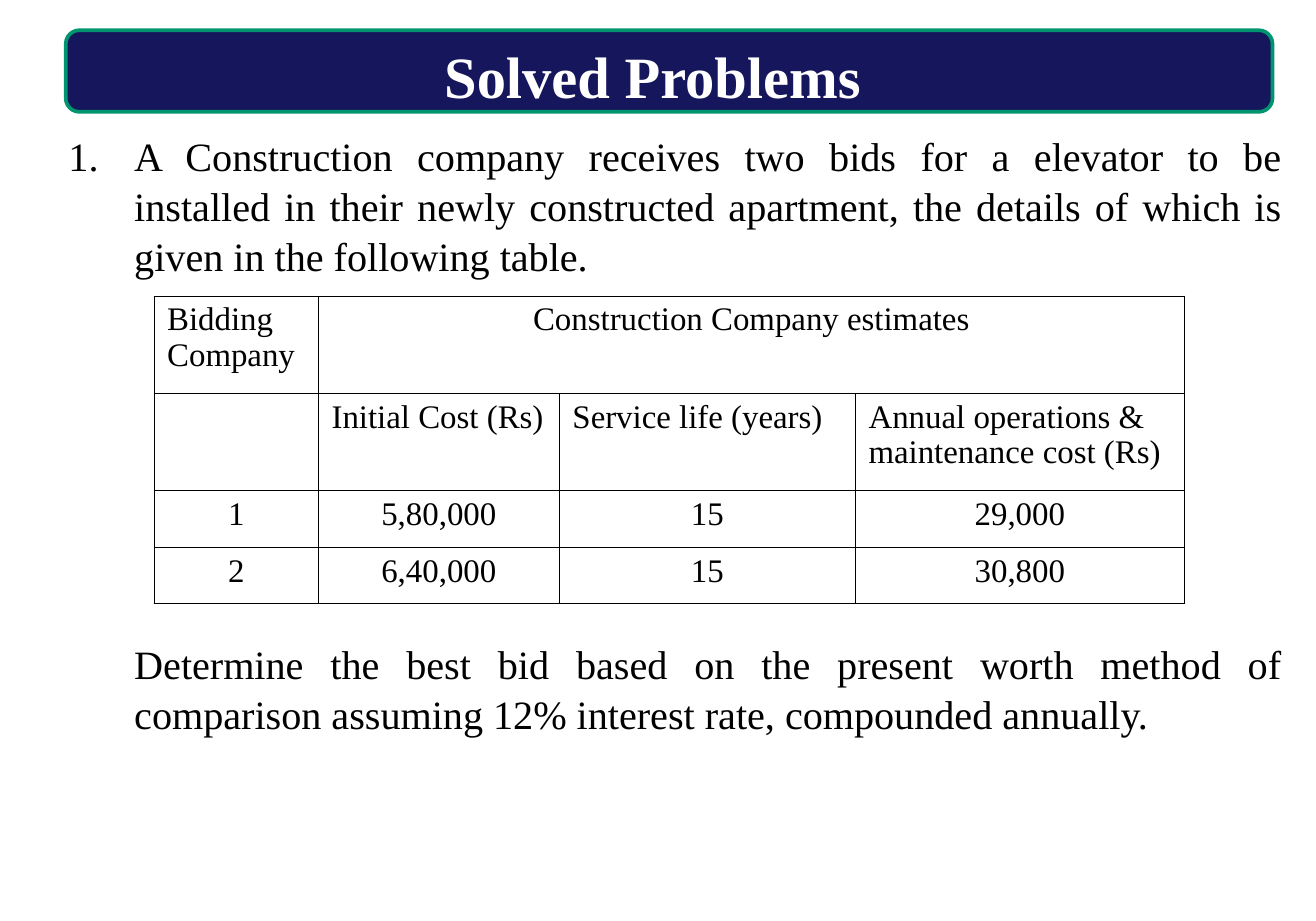
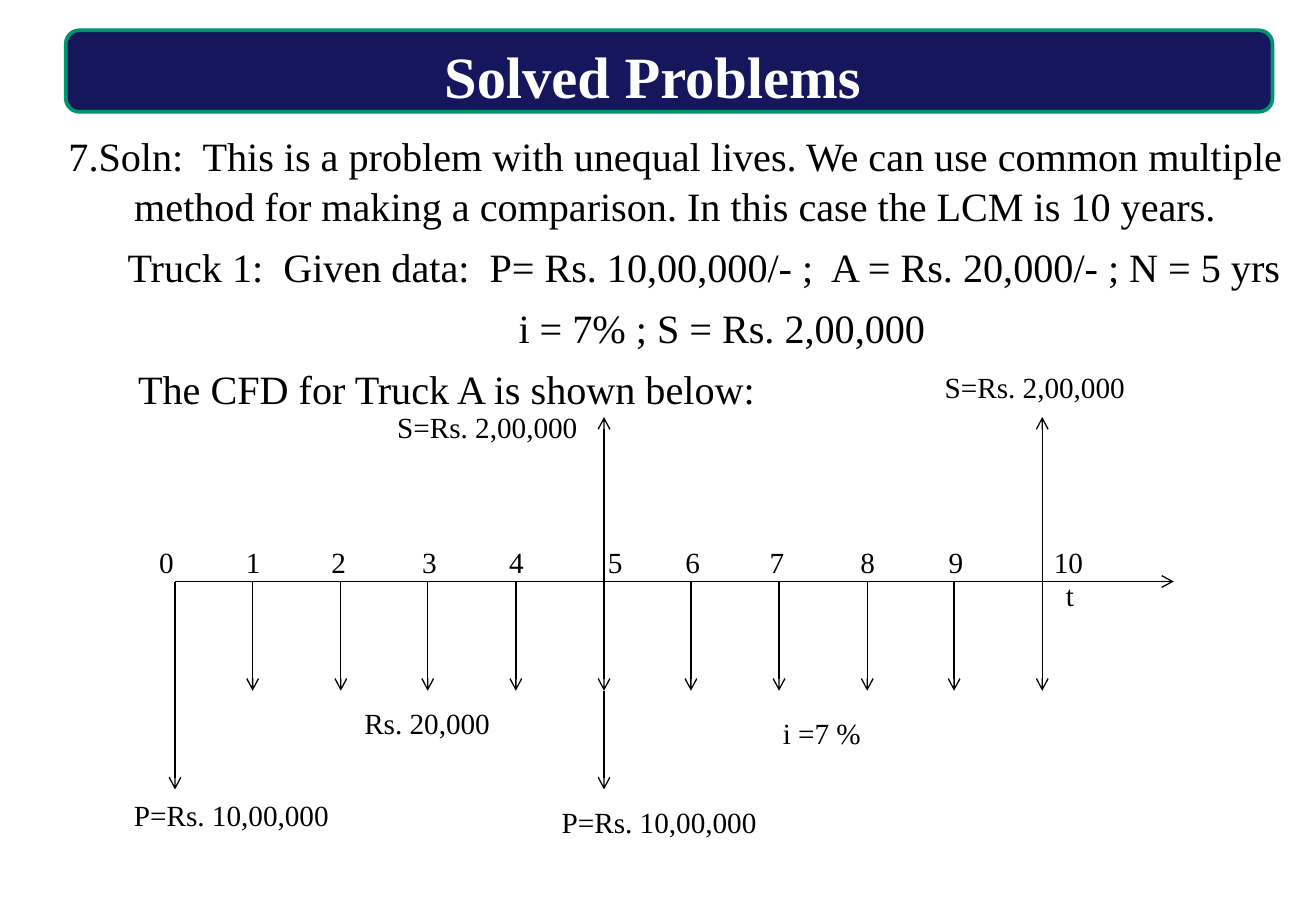
"""Build two slides of solved problems: a bid table and a cash flow diagram."""
from dataclasses import dataclass

from lxml.etree import SubElement
from pptx import Presentation
from pptx.dml.color import RGBColor as Rgb
from pptx.enum.shapes import MSO_CONNECTOR as Link, MSO_SHAPE as Form
from pptx.enum.text import MSO_ANCHOR as Anchor, MSO_AUTO_SIZE as Fit, PP_ALIGN as Align
from pptx.oxml.ns import qn
from pptx.util import Inches, Pt


@dataclass(frozen=True)
class Theme:
    """Colours, font and sizes of the deck."""
    navy: Rgb = Rgb(0x16, 0x16, 0x5D)
    green: Rgb = Rgb(0x00, 0x95, 0x6F)
    white: Rgb = Rgb(0xFF, 0xFF, 0xFF)
    black: Rgb = Rgb(0, 0, 0)
    face: str = "Times New Roman"
    head: int = 32
    body: int = 22
    cell: int = 18
    label: int = 16
    lead: float = 1.04
    tight: float = 0.97
    rule: float = 0.75
    grid: float = 0.45


THEME = Theme()


@dataclass(frozen=True)
class Para:
    """A body paragraph; indents in inches, gaps in points."""
    text: str
    left: float = 0.5
    hang: float = 0.0
    before: float = 0
    after: float = 6
    align: Align = Align.LEFT
    number: bool = False


@dataclass(frozen=True)
class Arrow:
    """An arrow from one point to another."""
    x1: float
    y1: float
    x2: float
    y2: float


@dataclass(frozen=True)
class Label:
    """A short text at a place."""
    text: str
    x: float
    y: float
    wide: float = 0.42


BIDS = (
    Para("A Construction company receives two bids for a elevator to be installed in their "
         "newly constructed apartment, the details of which is given in the following table.",
         hang=-0.5, after=12, align=Align.JUSTIFY, number=True),
    Para("Determine the best bid based on the present worth method of comparison assuming "
         "12% interest rate, compounded annually.",
         before=184, after=12, align=Align.JUSTIFY),
)
COLS = (1.25, 1.83, 2.25, 2.5)
ROWS = (0.74, 0.74, 0.43, 0.43)
CELLS = (
    ("Bidding Company", "Construction Company estimates", "", ""),
    ("", "Initial Cost (Rs)", "Service life (years)",
     "Annual operations & maintenance cost (Rs)"),
    ("1", "5,80,000", "15", "29,000"),
    ("2", "6,40,000", "15", "30,800"),
)

TRUCK = (
    Para("7.Soln:  This is a problem with unequal lives. We can use common multiple method "
         "for making a comparison. In this case the LCM is 10 years.", hang=-0.5),
    Para("Truck 1:  Given data:  P= Rs. 10,00,000/- ;  A = Rs. 20,000/- ; N = 5 yrs", left=0.45),
    Para("i = 7% ; S = Rs. 2,00,000", left=3.42),
    Para("The CFD for Truck A is shown below:", left=0.53),
)
AXIS, COST, DEEP, HIGH = 4.42, 5.25, 6.0, 3.17
START = 1.33
YEARS = [round(1.92 + n * 2 / 3, 2) for n in range(10)]
MID, LAST = YEARS[4], YEARS[9]
ARROWS = (
    Arrow(START, AXIS, 8.92, AXIS),
    Arrow(START, AXIS, START, DEEP),
    *(Arrow(x, AXIS, x, COST) for x in YEARS),
    Arrow(MID, COST, MID, DEEP),
    *(Arrow(x, AXIS, x, HIGH) for x in (MID, LAST)),
)
TICKS = (1.11, 1.77, 2.42, 3.11, 3.77, 4.52, 5.11, 5.75, 6.44, 7.11, 7.91)
LABELS = (
    *(Label(str(n), x, 4.08) for n, x in enumerate(TICKS)),
    Label("t", 8, 4.33),
    Label("P=Rs. 10,00,000", 0.92, 6, 1.83),
    Label("P=Rs. 10,00,000", 4.17, 6.05, 1.83),
    Label("Rs. 20,000", 2.67, 5.3, 1.33),
    Label("i =7 %", 5.85, 5.38, 0.98),
    Label("S=Rs. 2,00,000", 2.92, 3.05, 1.58),
    Label("S=Rs. 2,00,000", 7.08, 2.75, 1.58),
)


def place(shape, x: float, y: float, wide: float, high: float) -> None:
    """Move and size a shape, in inches."""
    shape.left, shape.top = Inches(x), Inches(y)
    shape.width, shape.height = Inches(wide), Inches(high)


def style(para, size: int, color: Rgb = THEME.black, bold: bool = False,
          align: Align = Align.LEFT, lead: float = THEME.lead) -> None:
    """Set the font, alignment and line spacing of a paragraph."""
    para.alignment, para.line_spacing = align, lead
    font = para.font
    font.name, font.size, font.bold = THEME.face, Pt(size), bold
    font.color.rgb = color


def setup(frame) -> None:
    """Make a text frame wrap, start at the top and keep its size."""
    frame.word_wrap, frame.auto_size = True, Fit.NONE
    frame.vertical_anchor = Anchor.TOP


def write(frame, paras: tuple[Para, ...]) -> None:
    """Fill a body frame with paragraphs."""
    setup(frame)
    for i, item in enumerate(paras):
        para = frame.add_paragraph() if i else frame.paragraphs[0]
        para.text = item.text
        para.space_before, para.space_after = Pt(item.before), Pt(item.after)
        props = para._p.get_or_add_pPr()
        props.set("marL", str(Inches(item.left)))
        props.set("indent", str(Inches(item.hang)))
        if item.number:
            SubElement(props, qn("a:buFont"), typeface=THEME.face)
            SubElement(props, qn("a:buAutoNum"), type="arabicPeriod")
        else:
            SubElement(props, qn("a:buNone"))
        style(para, THEME.body, align=item.align)


def start(deck, paras: tuple[Para, ...], wide: float):
    """Add a slide with its band, title and body."""
    slide = deck.slides.add_slide(deck.slide_layouts[1])
    band = slide.shapes.add_shape(Form.ROUNDED_RECTANGLE, 0, 0, 0, 0)
    place(band, 0.5, 0.23, 9.17, 0.62)
    band.shadow.inherit = False
    band.fill.solid()
    band.fill.fore_color.rgb = THEME.navy
    band.line.color.rgb, band.line.width = THEME.green, Pt(2)
    slide.shapes._spTree.insert(2, band._element)
    title, body = slide.shapes.title, slide.placeholders[1]
    place(title, 0.73, 0.23, 8.46, 0.62)
    title.text_frame.text = "Solved Problems"
    setup(title.text_frame)
    style(title.text_frame.paragraphs[0], THEME.head, THEME.white, True, Align.CENTER)
    place(body, 0.42, 0.93, wide, 5.75)
    write(body.text_frame, paras)
    return slide


def edge(cell) -> None:
    """Draw thin black borders round a cell without fill."""
    props = cell._tc.get_or_add_tcPr()
    for side in ("lnL", "lnR", "lnT", "lnB"):
        line = SubElement(props, qn(f"a:{side}"), w=str(Pt(THEME.grid)))
        fill = SubElement(line, qn("a:solidFill"))
        SubElement(fill, qn("a:srgbClr"), val=str(THEME.black))
    cell.fill.background()


def chart_bids(slide) -> None:
    """Add the table of bids."""
    frame = slide.shapes.add_table(len(ROWS), len(COLS), Inches(1.17), Inches(2.25),
                                   Inches(sum(COLS)), Inches(sum(ROWS)))
    table = frame.table
    table.first_row = table.horz_banding = False
    for col, wide in zip(table.columns, COLS):
        col.width = Inches(wide)
    for r, (row, high) in enumerate(zip(table.rows, ROWS)):
        row.height = Inches(high)
        for c, cell in enumerate(row.cells):
            edge(cell)
            cell.text = CELLS[r][c]
            mid = r > 1 or (r, c) == (0, 1)
            style(cell.text_frame.paragraphs[0], THEME.cell, lead=THEME.tight,
                  align=Align.CENTER if mid else Align.LEFT)
    table.cell(0, 1).merge(table.cell(0, 3))


def point(slide, item: Arrow) -> None:
    """Draw one arrow."""
    line = slide.shapes.add_connector(Link.STRAIGHT, Inches(item.x1), Inches(item.y1),
                                      Inches(item.x2), Inches(item.y2))
    line.line.color.rgb, line.line.width = THEME.black, Pt(THEME.rule)
    SubElement(line.line._get_or_add_ln(), qn("a:tailEnd"), type="arrow")
    SubElement(line._element.spPr, qn("a:effectLst"))


def tag(slide, item: Label) -> None:
    """Write one label."""
    box = slide.shapes.add_textbox(Inches(item.x), Inches(item.y),
                                   Inches(item.wide), Inches(0.37))
    setup(box.text_frame)
    box.text_frame.text = item.text
    style(box.text_frame.paragraphs[0], THEME.label)


def main() -> None:
    """Build and save the deck."""
    deck = Presentation()
    deck.slide_width, deck.slide_height = Inches(10), Inches(7)
    chart_bids(start(deck, BIDS, 9.42))
    flow = start(deck, TRUCK, 9.58)
    for item in ARROWS:
        point(flow, item)
    for item in LABELS:
        tag(flow, item)
    deck.save("out.pptx")


if __name__ == "__main__":
    main()
